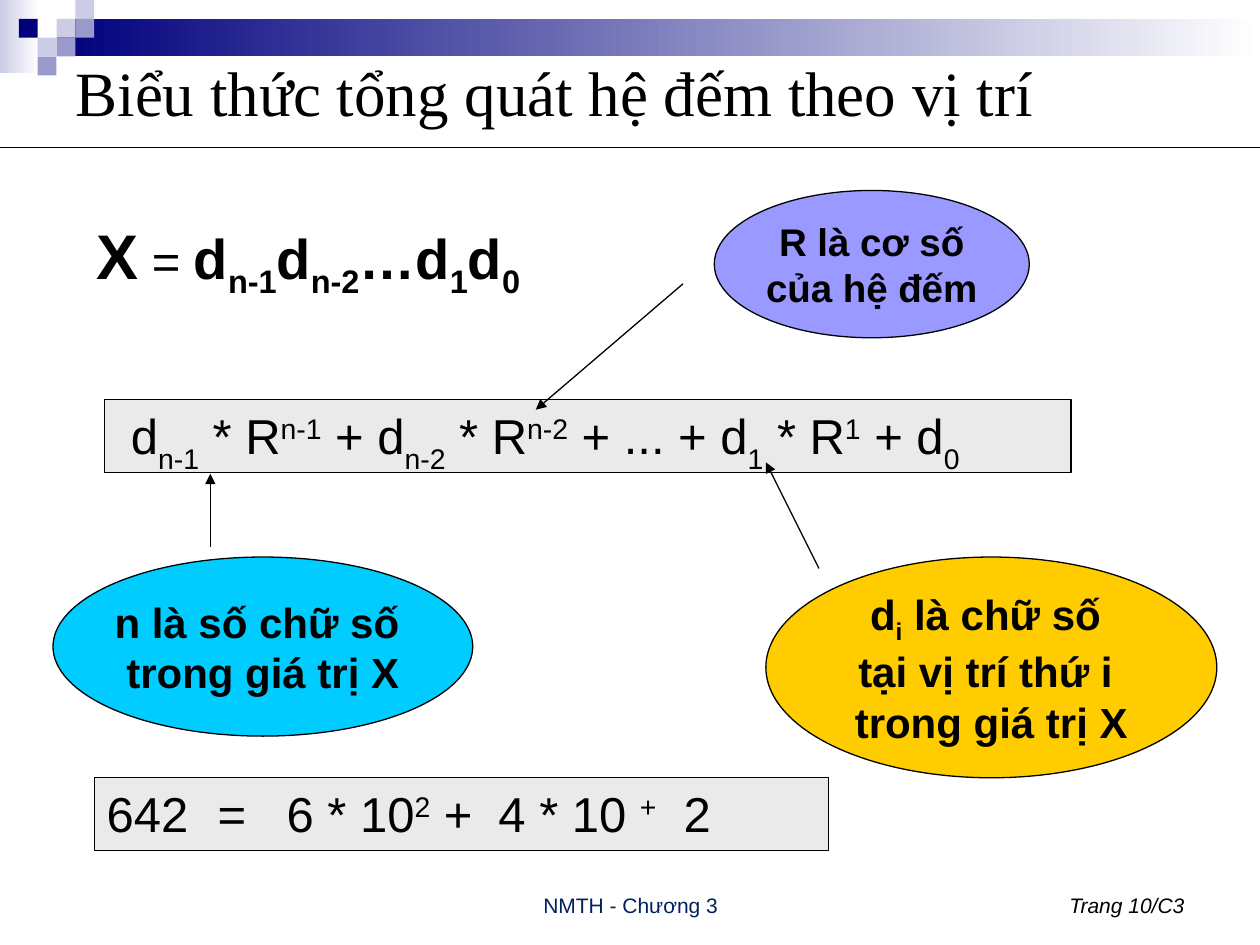
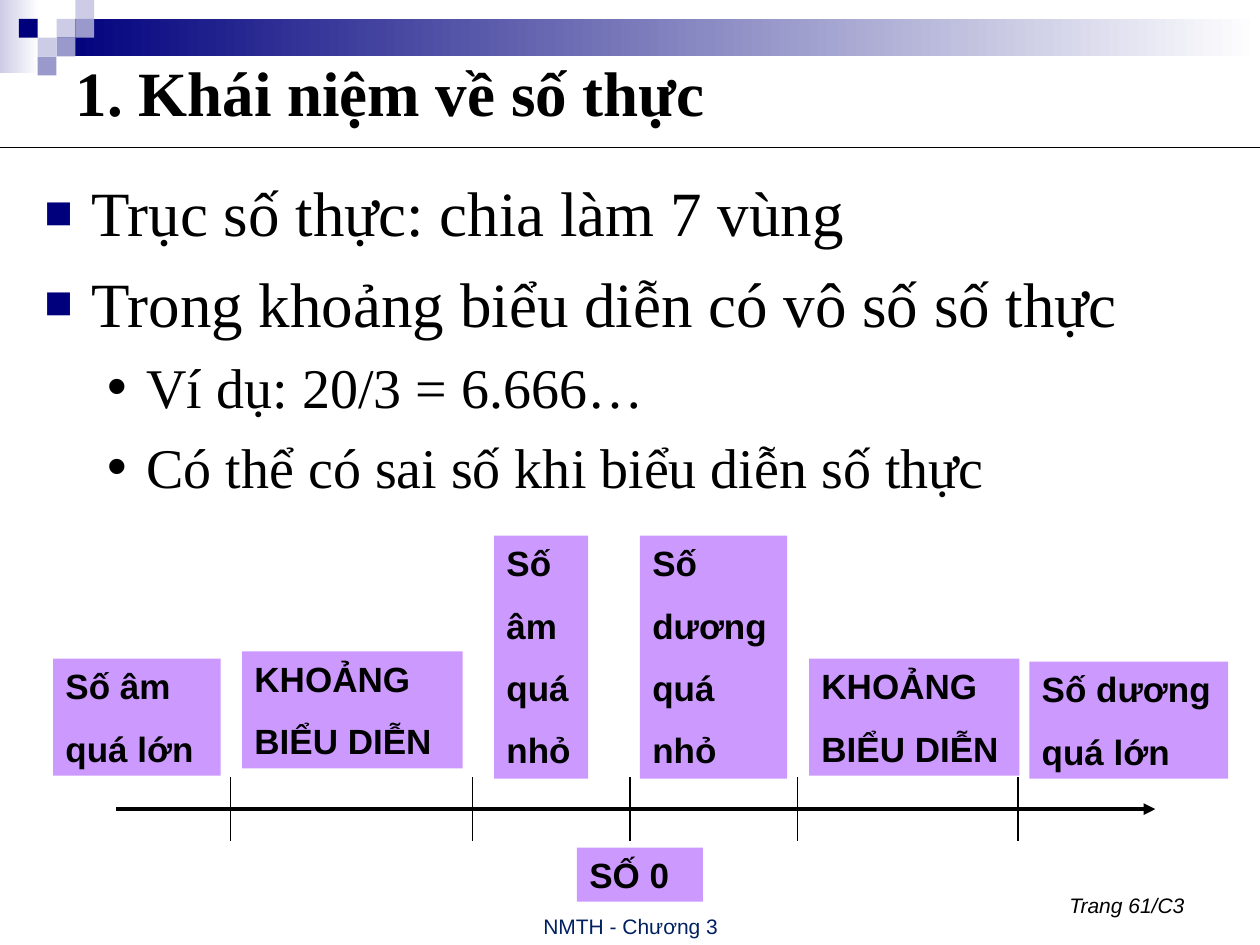
"""Builds two lecture slides on positional numerals and real numbers."""
from lxml.etree import SubElement
from pptx import Presentation
from pptx.dml.color import RGBColor
from pptx.enum.shapes import MSO_CONNECTOR, MSO_SHAPE
from pptx.enum.text import MSO_ANCHOR, MSO_AUTO_SIZE, PP_ALIGN
from pptx.oxml.ns import qn
from pptx.util import Cm, Pt

BLACK = RGBColor(0x00, 0x00, 0x00)
WHITE = RGBColor(0xFF, 0xFF, 0xFF)
NAVY = RGBColor(0x00, 0x00, 0x7D)
MID = RGBColor(0x99, 0x99, 0xCC)
PALE = RGBColor(0xCC, 0xCC, 0xE6)
GRAY = RGBColor(0xEA, 0xEA, 0xEA)
VIOLET = RGBColor(0x99, 0x99, 0xFF)
CYAN = RGBColor(0x00, 0xCC, 0xFF)
GOLD = RGBColor(0xFF, 0xCC, 0x00)
LILAC = RGBColor(0xCC, 0x99, 0xFF)
FOOTER_BLUE = RGBColor(0x00, 0x20, 0x60)
SANS, SERIF = "Arial", "Times New Roman"

UNIT = 0.38
BANDS = [((0, 0, 0.79, 1.47), PALE), ((1.14, UNIT, 24.26, 2 * UNIT), NAVY)]
SQUARES = [(3, 1, PALE), (4, 0, PALE), (4, 1, MID), (2, 2, PALE),
           (1, 1, NAVY), (3, 2, MID), (2, 3, MID)]
FOOTER = "NMTH - Chương 3"

SUB, SUP = {"base": -30}, {"base": 30}
LOW = {"base": -25}
NUMBER = [("X", {"size": 36}), (" = ", {"size": 28, "bold": False}),
          "d", ("n-1", LOW), "d", ("n-2", LOW), "…d", ("1", LOW), "d", ("0", LOW)]
FORMULA = ["d", ("n-1", SUB), " * R", ("n-1", SUP), " + d", ("n-2", SUB),
           " * R", ("n-2", SUP), " + ... + d", ("1", SUB), " * R", ("1", SUP),
           " + d", ("0", SUB)]
EXAMPLE = ["642\t=\t6 * 10", ("2", SUP), " +\t4 * 10 ", ("+", SUP), "\t2"]
EXAMPLE_TABS = [2.24, 3.63, 7.9, 11.63]
CALLOUTS = [
    ((14.4, 3.84, 6.35, 2.97), VIOLET, 22, ["R là cơ số", "của hệ đếm"]),
    ((1.07, 11.23, 8.46, 3.61), CYAN, 24, ["n là số chữ số ", "trong giá trị X"]),
    ((15.44, 11.23, 9.09, 4.45), GOLD, 24,
     [["d", ("i", LOW), " là chữ số "], "tại vị trí thứ i ", "trong giá trị X"]),
]
ARROWS = [(4.24, 11.02, 4.24, 9.55), (16.51, 11.46, 15.44, 9.32),
          (13.77, 5.72, 10.8, 8.26)]

POINTS = [(0, "Trục số thực: chia làm 7 vùng"),
          (0, "Trong khoảng biểu diễn có vô số số thực"),
          (1, "Ví dụ: 20/3 = 6.666…"),
          (1, "Có thể có sai số khi biểu diễn số thực")]
LEVELS = [{"size": 36, "left": 0.95, "hang": 0.95, "char": "■", "color": NAVY, "pct": 75},
          {"size": 32, "left": 2.06, "hang": 0.79, "char": "•", "color": BLACK, "pct": 100}]
AXIS_Y = 16.31
TICKS = [4.65, 9.53, 12.7, 16.08, 20.52]
ZONES = [(1.07, 13.28, 3.38, ["Số âm", "quá lớn"]),
         (20.75, 13.34, 4.01, ["Số dương", "quá lớn"]),
         (9.96, 10.8, 1.9, ["Số", "âm", "quá", "nhỏ"]),
         (12.9, 10.8, 2.97, ["Số", "dương", "quá", "nhỏ"]),
         (4.88, 13.13, 4.45, ["KHOẢNG", "BIỂU DIỄN"]),
         (16.31, 13.28, 4.24, ["KHOẢNG", "BIỂU DIỄN"]),
         (11.63, 17.09, 2.54, ["SỐ 0"])]


def write(tf, paras, size=28, font=SANS, color=BLACK, bold=False, italic=False,
          align=PP_ALIGN.LEFT, anchor=MSO_ANCHOR.TOP, wrap=True, gap=0):
    """Fill a text frame; a paragraph is a string or a list of runs."""
    tf.auto_size = MSO_AUTO_SIZE.NONE
    tf.word_wrap = wrap
    tf.vertical_anchor = anchor
    for i, runs in enumerate(paras):
        p = tf.paragraphs[0] if i == 0 else tf.add_paragraph()
        p.alignment = align
        p.space_before = Pt(gap if i else 0)
        for run in [runs] if isinstance(runs, str) else runs:
            text, own = (run, {}) if isinstance(run, str) else run
            r = p.add_run()
            r.text = text
            r.font.name = font
            r.font.size = Pt(own.get("size", size))
            r.font.bold = own.get("bold", bold)
            r.font.italic = italic
            r.font.color.rgb = color
            if "base" in own:
                r._r.get_or_add_rPr().set("baseline", str(own["base"] * 1000))


def place(sp, box):
    """Move and size a shape, in centimetres."""
    sp.left, sp.top, sp.width, sp.height = map(Cm, box)


def add_box(s, box, fill, kind=MSO_SHAPE.RECTANGLE, line=False, fade=False):
    """Add a filled shape, optionally outlined or fading to white."""
    sp = s.shapes.add_shape(kind, *map(Cm, box))
    sp.shadow.inherit = False
    if fade:
        sp.fill.gradient()
        sp.fill.gradient_angle = 0
        for stop, color in zip(sp.fill.gradient_stops, (fill, WHITE)):
            stop.color.rgb = color
    else:
        sp.fill.solid()
        sp.fill.fore_color.rgb = fill
    if line:
        sp.line.color.rgb = BLACK
        sp.line.width = Pt(0.75)
    else:
        sp.line.fill.background()
    return sp


def add_text(s, box, paras, **fmt):
    """Add a plain text box."""
    write(s.shapes.add_textbox(*map(Cm, box)).text_frame, paras, **fmt)


def add_line(s, ends, width=0.75, arrow=False):
    """Add a straight black line, optionally with an arrowhead at its end."""
    cn = s.shapes.add_connector(MSO_CONNECTOR.STRAIGHT, *map(Cm, ends))
    cn.line.color.rgb = BLACK
    cn.line.width = Pt(width)
    if arrow:
        SubElement(cn.line._get_or_add_ln(), qn("a:tailEnd"), type="triangle")
    SubElement(cn._element.spPr, qn("a:effectLst"))


def add_bullet(p, level):
    """Give a paragraph the hanging bullet of its level."""
    pPr = p._p.get_or_add_pPr()
    pPr.set("marL", str(Cm(level["left"])))
    pPr.set("indent", str(-Cm(level["hang"])))
    clr = SubElement(pPr, qn("a:buClr"))
    SubElement(clr, qn("a:srgbClr"), val=str(level["color"]))
    SubElement(pPr, qn("a:buSzPct"), val=str(level["pct"] * 1000))
    SubElement(pPr, qn("a:buFont"), typeface=SANS)
    SubElement(pPr, qn("a:buChar"), char=level["char"])


def add_tabs(p, stops):
    """Set left tab stops on a paragraph."""
    tabs = SubElement(p._p.get_or_add_pPr(), qn("a:tabLst"))
    for stop in stops:
        SubElement(tabs, qn("a:tab"), pos=str(Cm(stop)), algn="l")


def new_slide(prs, layout, title, page, bold=False, footer_top=17.35):
    """Add a slide with the shared bands, title, rule and footers."""
    s = prs.slides.add_slide(prs.slide_layouts[layout])
    for box, color in BANDS:
        add_box(s, box, color, fade=True)
    for col, row, color in SQUARES:
        add_box(s, (col * UNIT, row * UNIT, UNIT, UNIT), color)
    place(s.shapes.title, (1.27, 0.64, 22.86, 2.41))
    write(s.shapes.title.text_frame, [title], size=36, font=SERIF, bold=bold,
          anchor=MSO_ANCHOR.MIDDLE)
    add_line(s, (0, 2.97, 25.4, 2.97))
    add_text(s, (8.69, footer_top, 8.05, 1.27), [FOOTER], size=12,
             color=FOOTER_BLUE, align=PP_ALIGN.CENTER, anchor=MSO_ANCHOR.BOTTOM)
    add_text(s, (18.21, 17.35, 5.92, 1.27), [page], size=12, italic=True,
             align=PP_ALIGN.RIGHT, anchor=MSO_ANCHOR.BOTTOM)
    return s


def formula_slide(prs):
    """Build the slide on the general positional expression."""
    s = new_slide(prs, 5, "Biểu thức tổng quát hệ đếm theo vị trí", "Trang 10/C3")
    sp = add_box(s, (2.11, 8.05, 19.48, 1.47), GRAY, line=True)
    write(sp.text_frame, [FORMULA])
    sp.text_frame.margin_left = Cm(0.53)
    add_text(s, (1.69, 4.24, 21.39, 3.12), [NUMBER], size=32, bold=True)
    sp = add_box(s, (1.9, 15.67, 14.81, 1.47), GRAY, line=True)
    write(sp.text_frame, [EXAMPLE])
    add_tabs(sp.text_frame.paragraphs[0], EXAMPLE_TABS)
    for box, color, size, paras in CALLOUTS:
        sp = add_box(s, box, color, MSO_SHAPE.OVAL, line=True)
        write(sp.text_frame, paras, size=size, bold=True, align=PP_ALIGN.CENTER,
              anchor=MSO_ANCHOR.MIDDLE, wrap=False)
    for ends in ARROWS:
        add_line(s, ends, arrow=True)


def real_number_slide(prs):
    """Build the slide on the regions of the real axis."""
    s = new_slide(prs, 1, "1. Khái niệm về số thực", "Trang 61/C3",
                  bold=True, footer_top=17.78)
    body = s.placeholders[1]
    place(body, (0.64, 3.38, 24.13, 14.6))
    write(body.text_frame, [[(text, LEVELS[n])] for n, text in POINTS], font=SERIF)
    for i, (p, (n, _)) in enumerate(zip(body.text_frame.paragraphs, POINTS)):
        p.level = n
        p.space_before = Pt(round(LEVELS[n]["size"] * 0.23, 1) if i else 0)
        add_bullet(p, LEVELS[n])
    add_line(s, (2.34, AXIS_Y, 23.29, AXIS_Y), width=2.25, arrow=True)
    for x in TICKS:
        add_line(s, (x, AXIS_Y - 0.64, x, AXIS_Y + 0.64))
    for x, y, w, words in ZONES:
        sp = add_box(s, (x, y, w, 1.09 + 1.27 * (len(words) - 1)), LILAC)
        write(sp.text_frame, words, size=20, bold=True, gap=11.5)


def main():
    """Build and save the presentation."""
    prs = Presentation()
    prs.slide_width, prs.slide_height = Cm(25.4), Cm(19.05)
    formula_slide(prs)
    real_number_slide(prs)
    prs.save("out.pptx")


if __name__ == "__main__":
    main()
